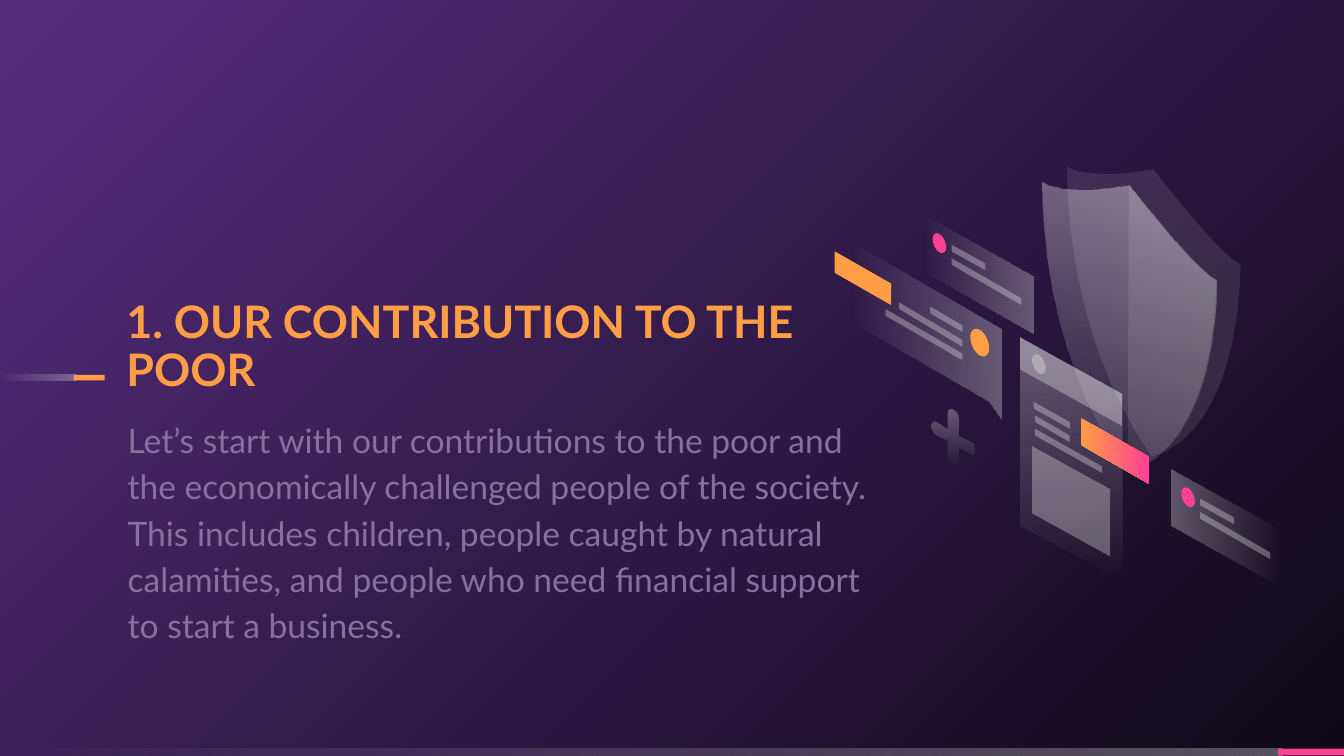
from pptx import Presentation
from pptx.dml.color import RGBColor
from pptx.enum.shapes import MSO_SHAPE
from pptx.enum.text import MSO_ANCHOR, MSO_AUTO_SIZE, PP_ALIGN
from pptx.oxml.ns import qn
from pptx.util import Inches, Pt
from lxml.etree import SubElement

COLORS = {
    "white": "FFFFFF",
    "orange": "FF9E44",
    "pink": "FF4093",
    "lilac": "8870A0",
    "violet": "572D7E",
    "night": "0E0918",
}
FADE = [("white", 30), ("white", 0)]
GLASS = [("white", 30)]
FAINT = [("white", 10)]
ORANGE = [("orange", 100)]
PINK = [("pink", 100)]


def paint(shape, stops, angle=0):
    shape.shadow.inherit = False
    shape.line.fill.background()
    if len(stops) == 1:
        shape.fill.solid()
        targets = [shape.fill.fore_color]
    else:
        shape.fill.gradient()
        shape.fill.gradient_angle = (360 - angle) % 360
        targets = [stop.color for stop in shape.fill.gradient_stops]
    for target, (name, alpha) in zip(targets, stops):
        target.rgb = RGBColor.from_string(COLORS[name])
    for color, (name, alpha) in zip(shape._element.spPr.iter(qn("a:srgbClr")), stops):
        if alpha < 100:
            SubElement(color, qn("a:alpha")).set("val", str(alpha * 1000))


def trace(segments, stops, angle=0):
    points = [segments[0]]
    for segment in segments[1:]:
        if len(segment) == 2:
            points.append(segment)
            continue
        x0, y0 = points[-1]
        x1, y1, x2, y2, x3, y3 = segment
        for step in range(1, 13):
            t = step / 12
            u = 1 - t
            points.append((
                u**3 * x0 + 3 * u * u * t * x1 + 3 * u * t * t * x2 + t**3 * x3,
                u**3 * y0 + 3 * u * u * t * y1 + 3 * u * t * t * y2 + t**3 * y3,
            ))
    corners = [(Inches(x), Inches(y)) for x, y in points]
    builder = slide.shapes.build_freeform(*corners[0])
    builder.add_line_segments(corners[1:], close=True)
    paint(builder.convert_to_shape(), stops, angle)


presentation = Presentation()
presentation.slide_width = Inches(10)
presentation.slide_height = Inches(10 * 9 / 16)
slide = presentation.slides.add_slide(presentation.slide_layouts[2])

background = slide.background.fill
background.gradient()
background.gradient_angle = 315
for stop, name in zip(background.gradient_stops, ["violet", "night"]):
    stop.color.rgb = RGBColor.from_string(COLORS[name])

rules = [
    (0, 5.57, 9.54, 0.05, FADE),
    (9.51, 5.57, 0.49, 0.05, PINK),
    (0, 2.79, 0.56, 0.04, FADE),
    (0.55, 2.79, 0.23, 0.04, ORANGE),
]
for left, top, width, height, stops in rules:
    rule = slide.shapes.add_shape(
        MSO_SHAPE.RECTANGLE, Inches(left), Inches(top), Inches(width), Inches(height)
    )
    paint(rule, stops, 180)

title, body = slide.placeholders
texts = [
    (title, (0.94, 1.68, 5.59, 1.27), MSO_ANCHOR.BOTTOM, 0.9, 0, 24, True, "orange",
     "1. OUR CONTRIBUTION TO THE POOR"),
    (body, (0.95, 3.08, 5.59, 0.47), MSO_ANCHOR.TOP, 1.15, 8, 18, False, "lilac",
     "Let’s start with our contributions to the poor and the economically challenged "
     "people of the society. This includes children, people caught by natural "
     "calamities, and people who need financial support to start a business."),
]
for shape, box, anchor, spacing, after, size, bold, color, wording in texts:
    shape.left, shape.top, shape.width, shape.height = [Inches(value) for value in box]
    frame = shape.text_frame
    frame.word_wrap = True
    frame.auto_size = MSO_AUTO_SIZE.NONE
    frame.vertical_anchor = anchor
    frame.margin_left = frame.margin_top = frame.margin_right = frame.margin_bottom = 0
    paragraph = frame.paragraphs[0]
    paragraph.alignment = PP_ALIGN.LEFT
    paragraph.line_spacing = spacing
    paragraph.space_before = Pt(0)
    paragraph.space_after = Pt(after)
    run = paragraph.add_run()
    run.text = wording
    run.font.name = "Lato"
    run.font.size = Pt(size)
    run.font.bold = bold
    run.font.color.rgb = RGBColor.from_string(COLORS[color])

for x, y, angle in [(6.87, 1.6, 180), (8.72, 3.49, 0)]:
    trace([(x + 0.82, y + 0.46), (x, y), (x, y + 0.42), (x + 0.82, y + 0.88)], FADE, angle)

shield = [
    (8.4, 1.38), (8.25, 1.41, 7.91, 1.45, 7.76, 1.36),
    (7.76, 1.96, 7.9, 2.82, 8.39, 3.52), (8.88, 3.37, 9.04, 2.69, 9.05, 2.09),
    (8.9, 2.01, 8.56, 1.58, 8.4, 1.38),
]
shield_back = [
    tuple(value + (-0.12 if index % 2 else 0.18) for index, value in enumerate(segment))
    for segment in shield
]
trace(shield_back, FAINT)
trace(shield, [("white", 40), ("white", 0)], 110)
trace([(9.05, 2.09), shield[4], (8.39, 3.52), shield[3]], FAINT)

trace([(7.59, 2.51), (8.34, 2.93), (8.35, 4.32), (7.59, 3.91)], FADE, 90)
trace([(6.33, 1.8), (6.33, 2.39), (7.35, 2.98), (7.45, 3.12), (7.45, 2.45)], FADE, 180)

bars = [
    (7.08, 1.82, 7.33, 1.96, 0.05, GLASS),
    (7.08, 1.92, 7.6, 2.22, 0.05, GLASS),
    (8.93, 3.71, 9.18, 3.85, 0.05, GLASS),
    (8.93, 3.81, 9.45, 4.11, 0.05, GLASS),
    (7.68, 3.32, 8.26, 3.64, 0.5, GLASS),
    (7.69, 2.99, 7.96, 3.14, 0.05, GLASS),
    (7.7, 3.09, 7.96, 3.24, 0.05, GLASS),
    (7.7, 3.19, 8.2, 3.47, 0.05, GLASS),
    (7.59, 2.51, 8.35, 2.93, 0.24, GLASS),
    (6.92, 2.28, 7.16, 2.42, 0.05, GLASS),
    (6.69, 2.25, 7.16, 2.53, 0.05, GLASS),
    (6.59, 2.3, 7.16, 2.63, 0.05, GLASS),
    (8.04, 3.11, 8.55, 3.4, 0.2, [("orange", 100), ("pink", 100)]),
    (6.21, 1.87, 6.63, 2.11, 0.16, ORANGE),
]
for left, top, right, right_top, height, stops in bars:
    trace([(left, top), (right, right_top), (right, right_top + height),
           (left, top + height)], stops)

tilted_dot = [
    (1, 0.6), (1, 1.3, 0.55, 1.65, 0, 1.35), (-0.55, 1.05, -1, 0.15, -1, -0.6),
    (-1, -1.3, -0.55, -1.65, 0, -1.35), (0.55, -1.05, 1, -0.15, 1, 0.6),
]
dots = [
    (6.99, 1.81, 0.05, PINK),
    (8.84, 3.7, 0.05, PINK),
    (7.73, 2.71, 0.05, GLASS),
    (7.29, 2.55, 0.07, ORANGE),
]
for x, y, radius, stops in dots:
    trace([
        tuple((y if index % 2 else x) + radius * value for index, value in enumerate(segment))
        for segment in tilted_dot
    ], stops)

plus = [
    (7.09, 3.05), (7.11, 3.06, 7.13, 3.09, 7.13, 3.12), (7.13, 3.24), (7.21, 3.28),
    (7.23, 3.29, 7.25, 3.32, 7.25, 3.35), (7.25, 3.38, 7.23, 3.39, 7.21, 3.37),
    (7.13, 3.33), (7.13, 3.45), (7.13, 3.47, 7.11, 3.48, 7.09, 3.47),
    (7.07, 3.46, 7.05, 3.42, 7.05, 3.4), (7.05, 3.28), (6.97, 3.24),
    (6.95, 3.23, 6.93, 3.19, 6.93, 3.17), (6.93, 3.14, 6.95, 3.13, 6.97, 3.14),
    (7.05, 3.19), (7.05, 3.07), (7.05, 3.05, 7.07, 3.04, 7.09, 3.05),
]
trace(plus, FADE, 90)

presentation.save("out.pptx")
